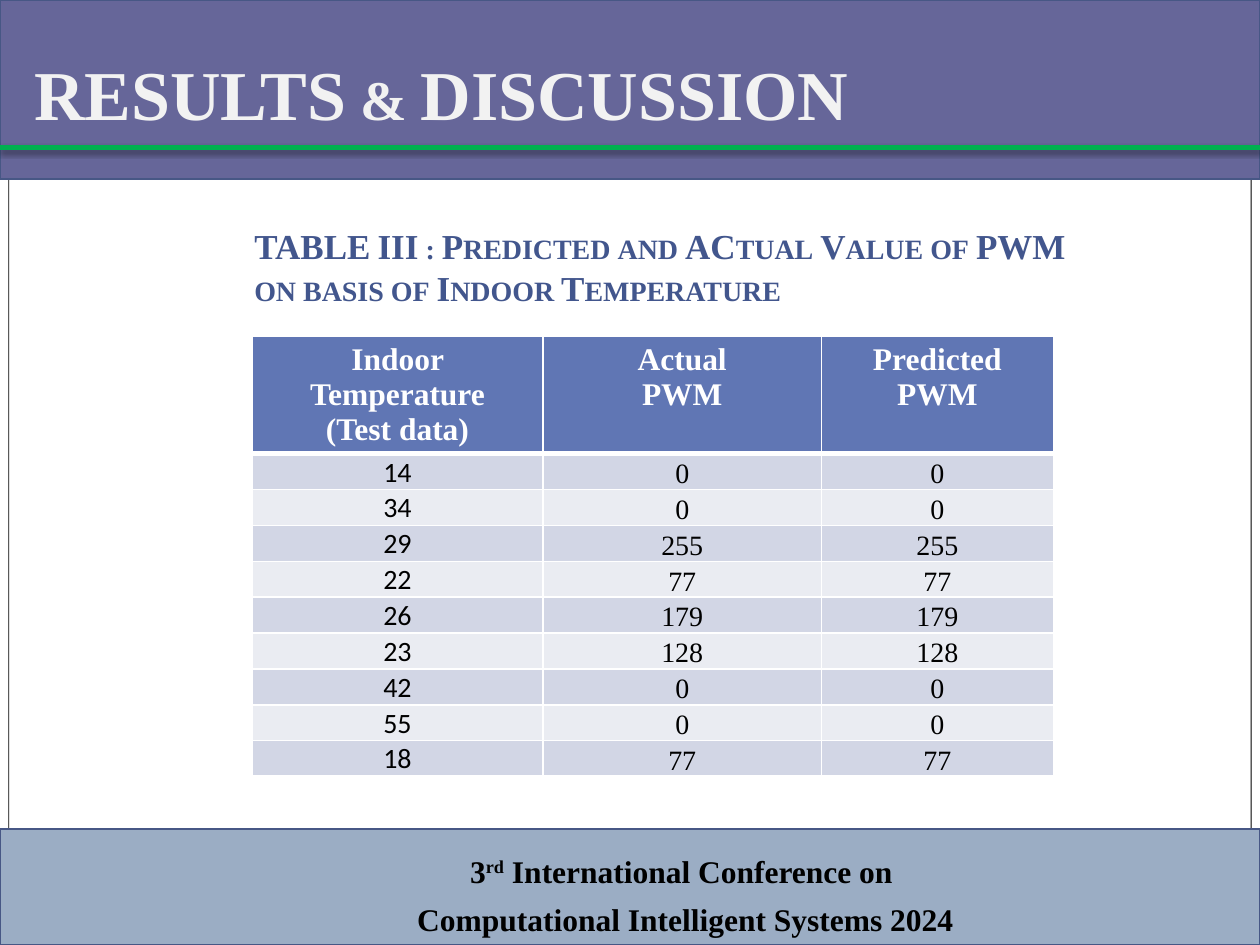
from dataclasses import dataclass

from pptx import Presentation
from pptx import util as u
from pptx.dml.color import RGBColor
from pptx.enum import shapes, text
from pptx.oxml import parse_xml
from pptx.oxml.ns import nsdecls

Inches = u.Inches


@dataclass(frozen=True)
class Theme:
    serif: str = "Times New Roman"
    sans: str = "Calibri"
    white: str = "FFFFFF"
    black: str = "000000"
    header: str = "666699"
    edge: str = "475785"
    accent: str = "00B050"
    title: str = "F2F2F2"
    caption: str = "42568D"
    table_head: str = "6076B4"
    bands: tuple = ("D2D6E5", "EAECF2")
    footer: str = "9BADC4"
    title_size: int = 40
    caption_size: int = 20
    strong_size: int = 18
    body_size: int = 16


THEME = Theme()
HEADINGS = ("Indoor Temperature\n(Test data)", "Actual\nPWM", "Predicted PWM")
READINGS = (
    (14, 0, 0), (34, 0, 0), (29, 255, 255), (22, 77, 77), (26, 179, 179),
    (23, 128, 128), (42, 0, 0), (55, 0, 0), (18, 77, 77),
)


def rgb(value):
    return RGBColor.from_string(value)


def apply_format(target, formats):
    for name, value in formats.items():
        setattr(target, name, value)


def add_run(paragraph, words, size, color, font=THEME.serif, bold=True, **extras):
    """Add a run; extras are attributes of its run properties."""
    run = paragraph.add_run()
    run.text = words
    apply_format(run.font, {"name": font, "size": u.Pt(size), "bold": bold})
    run.font.color.rgb = rgb(color)
    for name, value in extras.items():
        run.font._element.set(name, value)


def add_panel(slide, box, fill, line, weight, kind=shapes.MSO_SHAPE.RECTANGLE):
    panel = slide.shapes.add_shape(kind, *map(Inches, box))
    panel.shadow.inherit = False
    panel.fill.solid()
    panel.fill.fore_color.rgb = rgb(fill)
    panel.line.color.rgb = rgb(line)
    panel.line.width = u.Pt(weight)
    return panel


def add_text_frame(slide, box):
    frame = slide.shapes.add_textbox(*map(Inches, box)).text_frame
    frame.word_wrap = True
    return frame


def add_rule(slide, left, top, width):
    """Draw the accent line with a soft shadow below it."""
    rule = slide.shapes.add_connector(
        shapes.MSO_CONNECTOR.STRAIGHT,
        Inches(left), Inches(top), Inches(left + width), Inches(top))
    rule.line.color.rgb = rgb(THEME.accent)
    rule.line.width = u.Pt(3)
    rule._element.spPr.append(parse_xml(
        f'<a:effectLst {nsdecls("a")}><a:outerShdw blurRad="{u.Pt(3)}" '
        f'dist="{u.Pt(2)}" dir="5400000" rotWithShape="0">'
        f'<a:srgbClr val="{THEME.black}"><a:alpha val="50000"/></a:srgbClr>'
        '</a:outerShdw></a:effectLst>'))


def add_header(slide, box):
    left, top, width, _ = box
    add_panel(slide, box, THEME.header, THEME.edge, 1)
    add_rule(slide, left, top + 1.17, width)
    title = slide.shapes.title
    apply_format(title, {
        "left": Inches(left + 0.17), "top": Inches(top - 0.08),
        "width": Inches(width - 0.33), "height": Inches(1.25)})
    frame = title.text_frame
    apply_format(frame, {
        "vertical_anchor": text.MSO_ANCHOR.BOTTOM, "word_wrap": True,
        "auto_size": text.MSO_AUTO_SIZE.NONE, "margin_bottom": Inches(0.1)})
    heading = frame.paragraphs[0]
    heading.alignment = text.PP_ALIGN.LEFT
    add_run(heading, "RESULTS & DISCUSSION", THEME.title_size, THEME.title, cap="small")
    slide.shapes._spTree.append(title._element)  # in front of the header panel


def add_caption(slide, box):
    frame = add_text_frame(slide, box)
    add_run(frame.paragraphs[0],
            "TABLE III : Predicted and ACtual Value of PWM on basis of Indoor Temperature",
            THEME.caption_size, THEME.caption, cap="small")


def set_borders(cell, **weights):
    """Give the cell white borders; weights are points by side (L, R, T, B)."""
    properties = cell._tc.get_or_add_tcPr()
    for position, side in enumerate("LRTB"):
        properties.insert(position, parse_xml(
            f'<a:ln{side} {nsdecls("a")} w="{u.Pt(weights.get(side, 1))}"><a:solidFill>'
            f'<a:srgbClr val="{THEME.white}"/></a:solidFill></a:ln{side}>'))


def fill_cell(cell, words, fill, **font):
    cell.fill.solid()
    cell.fill.fore_color.rgb = rgb(fill)
    for index, line in enumerate(words.split("\n")):
        frame = cell.text_frame
        paragraph = frame.add_paragraph() if index else frame.paragraphs[0]
        paragraph.alignment = text.PP_ALIGN.CENTER
        add_run(paragraph, line, **font)


def add_results(slide, box):
    table = slide.shapes.add_table(
        len(READINGS) + 1, len(HEADINGS), *map(Inches, box)).table
    for column, width in zip(table.columns, (2.31, 2.21, 1.84)):
        column.width = Inches(width)
    heights = [0.93] + [0.285] * (len(READINGS) - 1) + [0.25]
    for row, height in zip(table.rows, heights):
        row.height = Inches(height)

    for column, heading in enumerate(HEADINGS):
        cell = table.cell(0, column)
        fill_cell(cell, heading, THEME.table_head,
                  size=THEME.strong_size, color=THEME.white)
        set_borders(cell, B=3)

    tight = {"vertical_anchor": text.MSO_ANCHOR.BOTTOM, "margin_bottom": 0}
    tight.update({f"margin_{side}": Inches(0.01) for side in ("left", "top", "right")})
    for row, reading in enumerate(READINGS, 1):
        for column, value in enumerate(reading):
            cell = table.cell(row, column)
            apply_format(cell, tight)
            fill_cell(cell, str(value), THEME.bands[(row - 1) % 2],
                      size=THEME.body_size, color=THEME.black, bold=False,
                      font=THEME.serif if column else THEME.sans)
            set_borders(cell, T=3 if row == 1 else 1)


def add_footer(slide, box):
    left, top, _, _ = box
    add_panel(slide, box, THEME.footer, THEME.edge, 1)
    frame = add_text_frame(slide, (left + 1.55, top + 0.13, 7.78, 0.62))
    event = frame.paragraphs[0]
    subject = frame.add_paragraph()
    for paragraph in (event, subject):
        apply_format(paragraph, {
            "alignment": text.PP_ALIGN.CENTER, "space_before": u.Pt(5.8)})
    style = {"size": THEME.strong_size, "color": THEME.black}
    add_run(event, "3", **style)
    add_run(event, "rd", baseline="30000", **style)
    add_run(event, " International Conference on ", **style)
    add_run(subject, "Computational Intelligent Systems 2024", **style)


def main():
    deck = Presentation()
    deck.slide_width, deck.slide_height = Inches(10), Inches(7.5)
    slide = deck.slides.add_slide(deck.slide_layouts[5])
    frame = add_panel(slide, (0.07, 0.08, 9.86, 7.32), THEME.white, THEME.black, 0.5,
                      shapes.MSO_SHAPE.ROUNDED_RECTANGLE)
    frame.adjustments[0] = 0.05
    add_header(slide, (0, 0, 10, 1.42))
    add_results(slide, (2, 2.67, 6.35, 3.56))
    add_caption(slide, (1.92, 1.73, 6.75, 0.77))
    add_footer(slide, (0, 6.58, 10, 0.92))
    deck.save("out.pptx")


if __name__ == "__main__":
    main()
